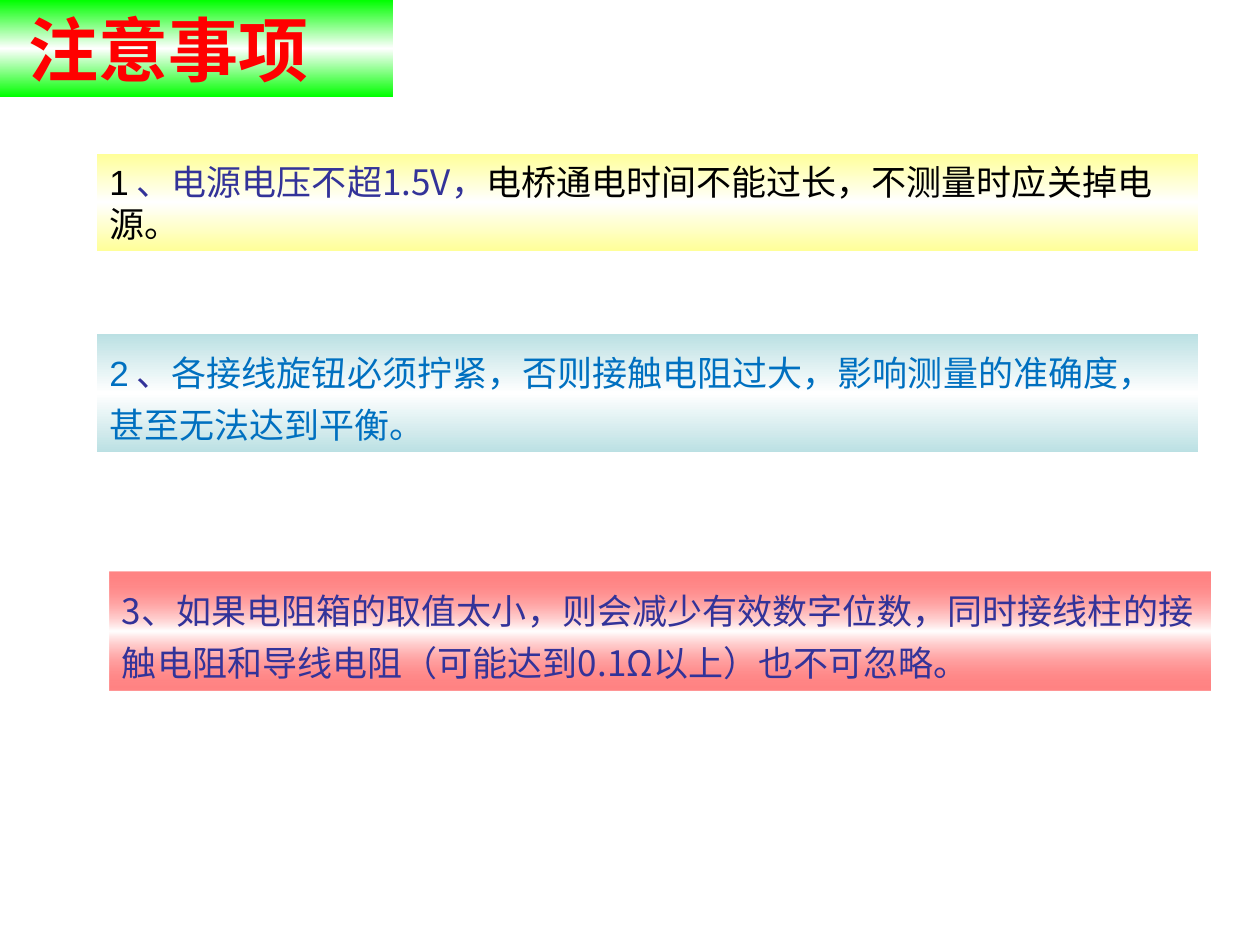
from copy import deepcopy
from dataclasses import dataclass

from lxml import etree
from pptx import Presentation
from pptx.dml.color import RGBColor
from pptx.enum.shapes import MSO_SHAPE
from pptx.enum.text import MSO_ANCHOR, MSO_AUTO_SIZE, PP_ALIGN
from pptx.oxml.ns import qn
from pptx.util import Inches, Pt

RECT = MSO_SHAPE.RECTANGLE
MIDDLE = MSO_ANCHOR.MIDDLE
FIXED = MSO_AUTO_SIZE.NONE
LEFT = PP_ALIGN.LEFT


@dataclass(frozen=True)
class Theme:
    """Hold the colours, fonts and type sizes."""
    white: str = "FFFFFF"
    black: str = "000000"
    green: str = "00FF00"
    red: str = "FF0000"
    yellow: str = "FFFF99"
    teal: str = "BBE0E3"
    navy: str = "333399"
    blue: str = "0070C0"
    latin: str = "Arial"
    asian: str = "Noto Sans CJK SC"
    head: int = 40
    body: int = 20


THEME = Theme()


def shade(shape, edge, alpha=None):
    """Fill a shape from edge colour to white and back, top to bottom."""
    shape.fill.gradient()
    shape.fill.gradient_angle = 270
    stops = shape._element.spPr.find(qn("a:gradFill")).find(qn("a:gsLst"))
    mid = deepcopy(stops[0])
    mid.set("pos", "50000")
    stops.insert(1, mid)
    for stop, color in zip(shape.fill.gradient_stops, (edge, THEME.white, edge)):
        stop.color.rgb = RGBColor.from_string(color)
    if alpha:
        for stop in (stops[0], stops[2]):
            etree.SubElement(stop[0], qn("a:alpha"), val=str(alpha * 1000))


def write(shape, runs, size, bold=False, inset=0.1, space=1.0):
    """Write runs of text, font and colour into a shape."""
    frame = shape.text_frame
    look = {
        "word_wrap": True, "auto_size": FIXED, "vertical_anchor": MIDDLE,
        "margin_left": Inches(inset), "margin_right": Inches(0.1),
        "margin_top": Inches(0.05), "margin_bottom": Inches(0.05),
    }
    for key, value in look.items():
        setattr(frame, key, value)
    para = frame.paragraphs[0]
    para.alignment = LEFT
    para.line_spacing = space
    for text, face, color in runs:
        run = para.add_run()
        run.text = text
        for key, value in {"name": face, "size": Pt(size), "bold": bold}.items():
            setattr(run.font, key, value)
        run.font.color.rgb = RGBColor.from_string(color)
        etree.SubElement(run._r.rPr, qn("a:ea"), typeface=THEME.asian)


def add_title(slide, box, text):
    """Place the title banner in the box."""
    title = slide.shapes.title
    for key, value in zip(("left", "top", "width", "height"), box):
        setattr(title, key, Inches(value))
    shade(title, THEME.green)
    write(title, [(text, THEME.latin, THEME.red)], THEME.head, True, 0.23)


def add_note(slide, box, edge, runs, space=1.25, alpha=None):
    """Place one shaded note in the box."""
    note = slide.shapes.add_shape(RECT, *map(Inches, box))
    note.shadow.inherit = False
    note.line.fill.background()
    shade(note, edge, alpha)
    write(note, runs, THEME.body, space=space)


def main():
    """Build the slide and save it."""
    deck = Presentation()
    deck.slide_width, deck.slide_height = Inches(10), Inches(7.5)
    slide = deck.slides.add_slide(deck.slide_layouts[5])
    t = THEME
    add_title(slide, (0, 0, 3.12, 0.77), "注意事项")
    add_note(slide, (0.77, 1.22, 8.74, 0.77), t.yellow, [
        ("1", t.latin, t.black),
        (" 、电源电压不超1.5V，", t.asian, t.navy),
        ("电桥通电时间不能过长，不测量时应关掉电源。", t.latin, t.black),
    ], space=1.0)
    add_note(slide, (0.77, 2.65, 8.74, 0.94), t.teal, [
        ("2", t.latin, t.blue),
        (" 、", t.asian, t.navy),
        ("各接线旋钮必须拧紧，否则接触电阻过大，影响测量的准确度，甚至无法达到平衡。",
         t.latin, t.blue),
    ])
    add_note(slide, (0.87, 4.54, 8.74, 0.94), t.red, [
        ("3、如果电阻箱的取值太小，则会减少有效数字位数，同时接线柱的接触电阻和"
         "导线电阻（可能达到0.1Ω以上）也不可忽略。", t.asian, t.navy),
    ], alpha=48)
    deck.save("out.pptx")


if __name__ == "__main__":
    main()
